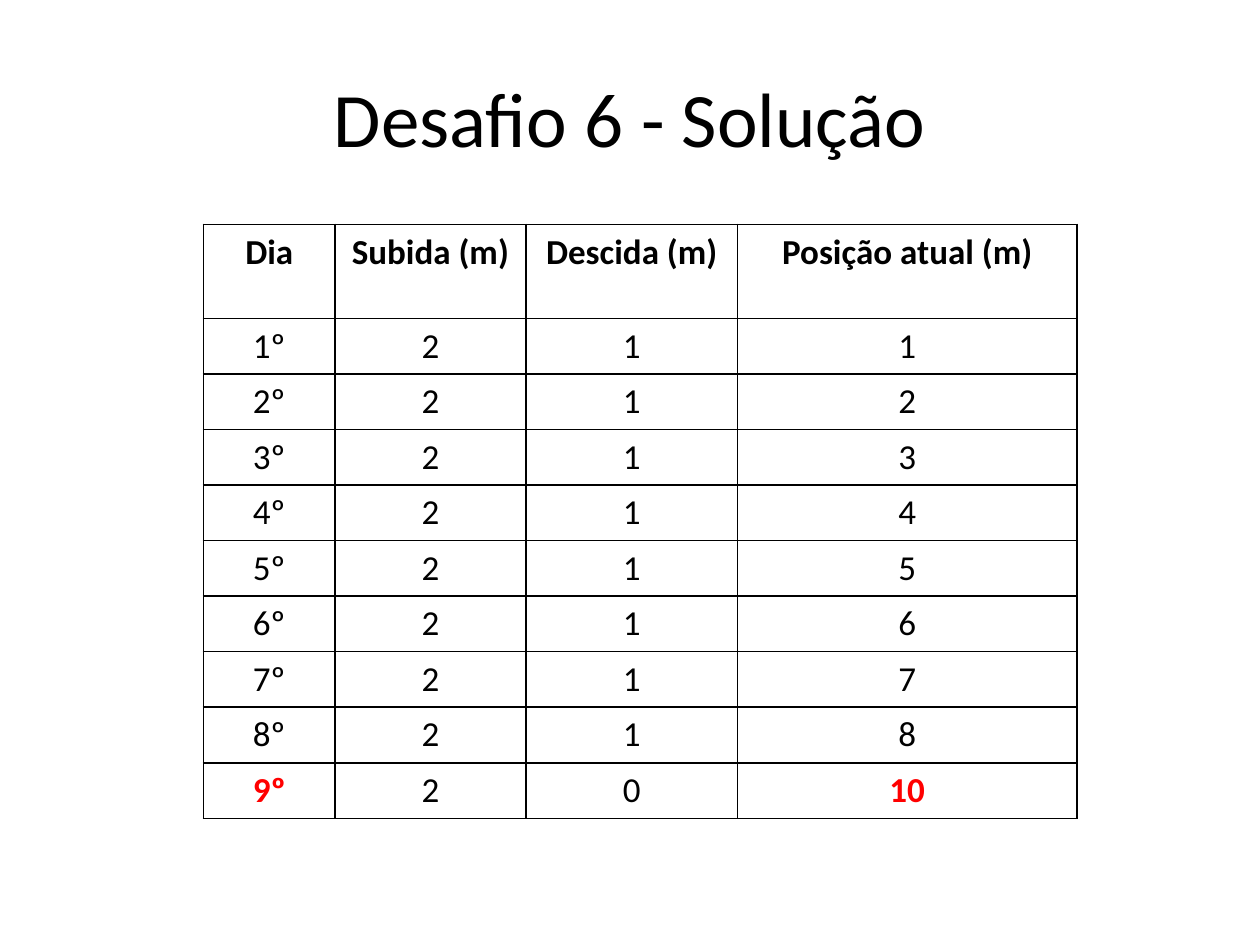
"""Build the slide with the day-by-day solution table of challenge 6."""
from lxml import etree
from pptx import Presentation
from pptx.dml.color import RGBColor
from pptx.enum.text import MSO_ANCHOR, PP_ALIGN
from pptx.oxml.ns import qn
from pptx.util import Pt

CENTER = PP_ALIGN.CENTER
MIDDLE = MSO_ANCHOR.MIDDLE
COLORS = {"text": "000000", "line": "000000", "mark": "FF0000"}
FONT = "Calibri"
HEADS = ["Dia", "Subida (m)", "Descida (m)", "Posição atual (m)"]
WIDTHS = [75.4, 108.9, 121.1, 193.8]
HEAD_H, ROW_H = 53.7, 31.75


def style(par, size, bold=False, color="text"):
    par.alignment = CENTER
    for run in par.runs:
        font = run.font
        font.name, font.size, font.bold = FONT, Pt(size), bold
        font.color.rgb = RGBColor.from_string(COLORS[color])


def border(cell):
    props = cell._tc.get_or_add_tcPr()
    for spot, side in enumerate(("lnL", "lnR", "lnT", "lnB")):
        line = etree.Element(qn(f"a:{side}"), w=str(Pt(1)))
        fill = etree.SubElement(line, qn("a:solidFill"))
        etree.SubElement(fill, qn("a:srgbClr"), val=COLORS["line"])
        props.insert(spot, line)


deck = Presentation()
deck.slide_width, deck.slide_height = Pt(720), Pt(540)
slide = deck.slides.add_slide(deck.slide_layouts[5])

title = slide.shapes.title
title.left, title.top = Pt(36), Pt(21.6)
title.width, title.height = Pt(648), Pt(90)
title.text_frame.text = "Desafio 6 - Solução"
title.text_frame.vertical_anchor = MIDDLE
style(title.text_frame.paragraphs[0], 44)

rows = [HEADS] + [[f"{day}º", "2", "1", str(day)] for day in range(1, 9)]
rows.append(["9º", "2", "0", "10"])
last = len(rows) - 1

frame = slide.shapes.add_table(
    len(rows), len(HEADS), Pt(116.2), Pt(128.2),
    Pt(sum(WIDTHS)), Pt(HEAD_H + last * ROW_H))
table = frame.table
table.first_row = table.horz_banding = False
for col, width in zip(table.columns, WIDTHS):
    col.width = Pt(width)

for r, row in enumerate(rows):
    table.rows[r].height = Pt(ROW_H if r else HEAD_H)
    for c, text in enumerate(row):
        cell = table.cell(r, c)
        cell.text_frame.text = text
        cell.fill.background()
        border(cell)
        mark = r == last and c in (0, 3)
        style(cell.text_frame.paragraphs[0], 20, r == 0 or mark,
              "mark" if mark else "text")

deck.save("out.pptx")
